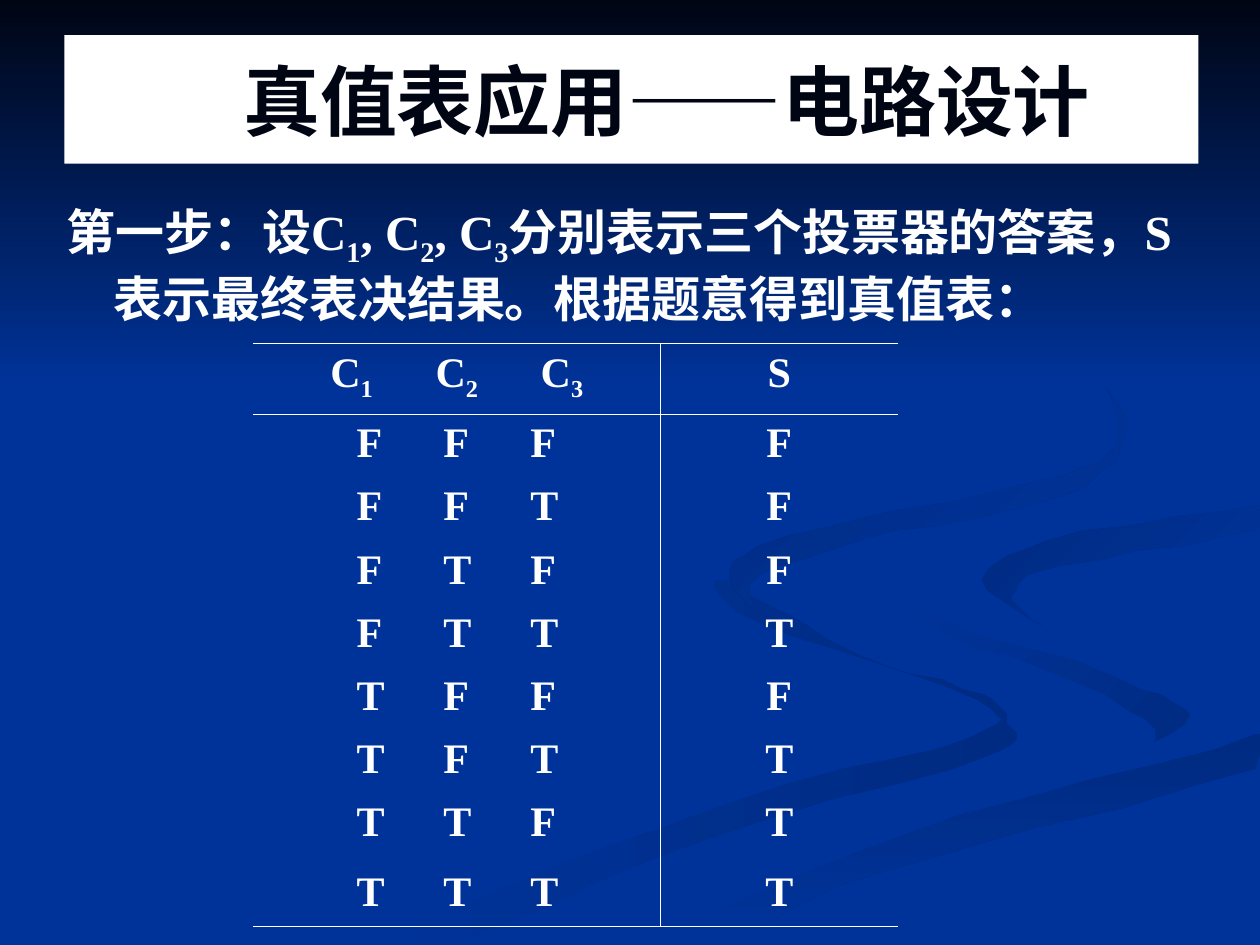
from dataclasses import dataclass
from lxml import etree
from pptx import Presentation
from pptx.dml.color import RGBColor
from pptx.enum.shapes import MSO_SHAPE
from pptx.enum.text import MSO_ANCHOR, PP_ALIGN
from pptx.oxml.ns import qn
from pptx.util import Cm, Pt

RECTANGLE = MSO_SHAPE.RECTANGLE
MIDDLE = MSO_ANCHOR.MIDDLE
LEFT, CENTER = PP_ALIGN.LEFT, PP_ALIGN.CENTER


@dataclass(frozen=True)
class Theme:
    font: str = "Times New Roman"
    blue: str = "003399"
    shade: str = "002B82"
    night: str = "000514"
    white: str = "FFFFFF"
    title: int = 44
    body: int = 28
    table: int = 24
    rule: float = 0.45


theme = Theme()


def paint(shape, colors, angle=0):
    """Fill with one colour, or with a two-colour gradient turned clockwise."""
    shape.shadow.inherit = False
    shape.line.fill.background()
    if len(colors) == 1:
        shape.fill.solid()
        shape.fill.fore_color.rgb = RGBColor.from_string(colors[0])
        return
    shape.fill.gradient()
    shape.fill.gradient_angle = (360 - angle) % 360
    for stop, color in zip(shape.fill.gradient_stops, colors):
        stop.color.rgb = RGBColor.from_string(color)


def write(paragraph, text, size, color, align=LEFT, tabs=()):
    """Write bold text; pieces between underscores are subscripts."""
    paragraph.alignment = align
    if tabs:
        stops = etree.SubElement(paragraph._p.get_or_add_pPr(), qn("a:tabLst"))
        for position in tabs:
            etree.SubElement(stops, qn("a:tab"), pos=str(Cm(position)), algn="l")
    for index, piece in enumerate(text.split("_")):
        span = paragraph.add_run()
        span.text = piece
        if index % 2:
            span.font._element.set("baseline", "-25000")
    paragraph.font.name = theme.font
    paragraph.font.size = Pt(size)
    paragraph.font.bold = True
    paragraph.font.color.rgb = RGBColor.from_string(color)


deck = Presentation()
deck.slide_width, deck.slide_height = Cm(25.4), Cm(19.05)
page = deck.slides.add_slide(deck.slide_layouts[6])
page.background.fill.solid()
page.background.fill.fore_color.rgb = RGBColor.from_string(theme.blue)

# Background ribbons: colours, gradient angle, knots in millimetres
ribbons = [
    ((theme.blue, theme.shade), 0, [
        (198, 140), (173, 132), (146, 117), (152, 125), (197, 141), (195, 149),
        (147, 162), (76, 190), (92, 190), (143, 169), (200, 152), (203, 146)]),
    ((theme.blue, theme.shade), 45, [
        (239, 143), (221, 135), (184, 118), (189, 127), (213, 136), (233, 147),
        (227, 154), (239, 148)]),
    ((theme.shade, theme.blue), 90, [
        (128, 190), (145, 190), (177, 176), (253, 155), (253, 148), (194, 164),
        (145, 183)]),
    ((theme.blue,), 0, [
        (184, 118), (193, 126), (226, 136), (239, 146), (206, 159), (121, 190),
        (145, 183), (194, 164), (253, 148), (253, 137), (207, 125), (198, 118),
        (216, 108), (253, 102), (253, 98), (196, 107)]),
    ((theme.shade, theme.blue), 45, [
        (198, 117), (210, 126), (204, 120), (214, 114), (253, 107), (253, 102),
        (211, 109)]),
    ((theme.shade, theme.blue), 45, [
        (173, 109), (214, 100), (227, 87), (217, 72), (194, 59), (219, 74),
        (225, 88), (214, 96), (159, 108), (147, 117), (158, 127), (151, 118)]),
]
for colors, angle, knots in ribbons:
    curve = []
    for index, start in enumerate(knots):
        before = knots[index - 1]
        end, after = (knots[(index + ahead) % len(knots)] for ahead in (1, 2))
        for step in range(5):
            t = step / 5
            curve.append([
                b + t * (c - a) / 2 + t**2 * (a - 2.5 * b + 2 * c - d / 2)
                + t**3 * (3 * (b - c) + d - a) / 2
                for a, b, c, d in zip(before, start, end, after)])
    outline = [(min(x, 254), min(y, 190.5)) for x, y in curve]
    builder = page.shapes.build_freeform(*outline[0], scale=Cm(0.1))
    builder.add_line_segments(outline[1:], close=True)
    paint(builder.convert_to_shape(), colors, angle)

# Dark band at the top
band = page.shapes.add_shape(RECTANGLE, 0, 0, deck.slide_width, Cm(7.82))
paint(band, (theme.night, theme.blue), 90)

# Title
title = page.shapes.add_shape(RECTANGLE, Cm(1.3), Cm(0.71), Cm(22.86), Cm(2.59))
paint(title, (theme.white,))
title.text_frame.word_wrap = True
title.text_frame.vertical_anchor = MIDDLE
title.text_frame.margin_left = Cm(1.68)
write(title.text_frame.paragraphs[0], "真值表应用——电路设计", theme.title,
      theme.night, CENTER)

# First step
intro = page.shapes.add_textbox(Cm(1.09), Cm(3.94), Cm(23.01), Cm(2.59))
intro.text_frame.word_wrap = True
paragraph = intro.text_frame.paragraphs[0]
properties = paragraph._p.get_or_add_pPr()
properties.set("marL", str(Cm(0.95)))
properties.set("indent", str(-Cm(0.95)))
write(paragraph, "第一步：设C_1_, C_2_, C_3_分别表示三个投票器的答案，"
      "S表示最终表决结果。根据题意得到真值表：", theme.body, theme.white)

# Truth table: the result is the majority of the three votes
rows = [("C_1_\tC_2_\tC_3_", "S")]
for number in range(8):
    votes = ["T" if number & bit else "F" for bit in (4, 2, 1)]
    rows.append(("\t".join(votes), "T" if votes.count("T") > 1 else "F"))

table = page.shapes.add_table(len(rows), 2, Cm(5.11), Cm(6.93),
                              Cm(13), Cm(11.74)).table
table.first_row = table.horz_banding = False
table.columns[0].width, table.columns[1].width = Cm(8.2), Cm(4.8)
last = len(rows) - 1
for row, texts in enumerate(rows):
    table.rows[row].height = Cm(1.42 if row in (0, last - 1) else 1.27)
    for column, text in enumerate(texts):
        cell = table.cell(row, column)
        ruled = {"L": column == 1, "R": column == 0,
                 "T": row < 2, "B": row in (0, last)}
        for side, drawn in ruled.items():
            edge = etree.SubElement(cell._tc.get_or_add_tcPr(), qn(f"a:ln{side}"),
                                    w=str(Pt(theme.rule)))
            if drawn:
                fill = etree.SubElement(edge, qn("a:solidFill"))
                etree.SubElement(fill, qn("a:srgbClr"), val=theme.white)
            else:
                etree.SubElement(edge, qn("a:noFill"))
        cell.fill.background()
        align, tabs = CENTER, ()
        if column == 0:
            cell.margin_left = Cm(2.08 if row else 1.55)
            align, tabs = LEFT, (1.75, 3.5) if row else (2.12, 4.24)
        write(cell.text_frame.paragraphs[0], text, theme.table, theme.white,
              align, tabs)

deck.save("out.pptx")
